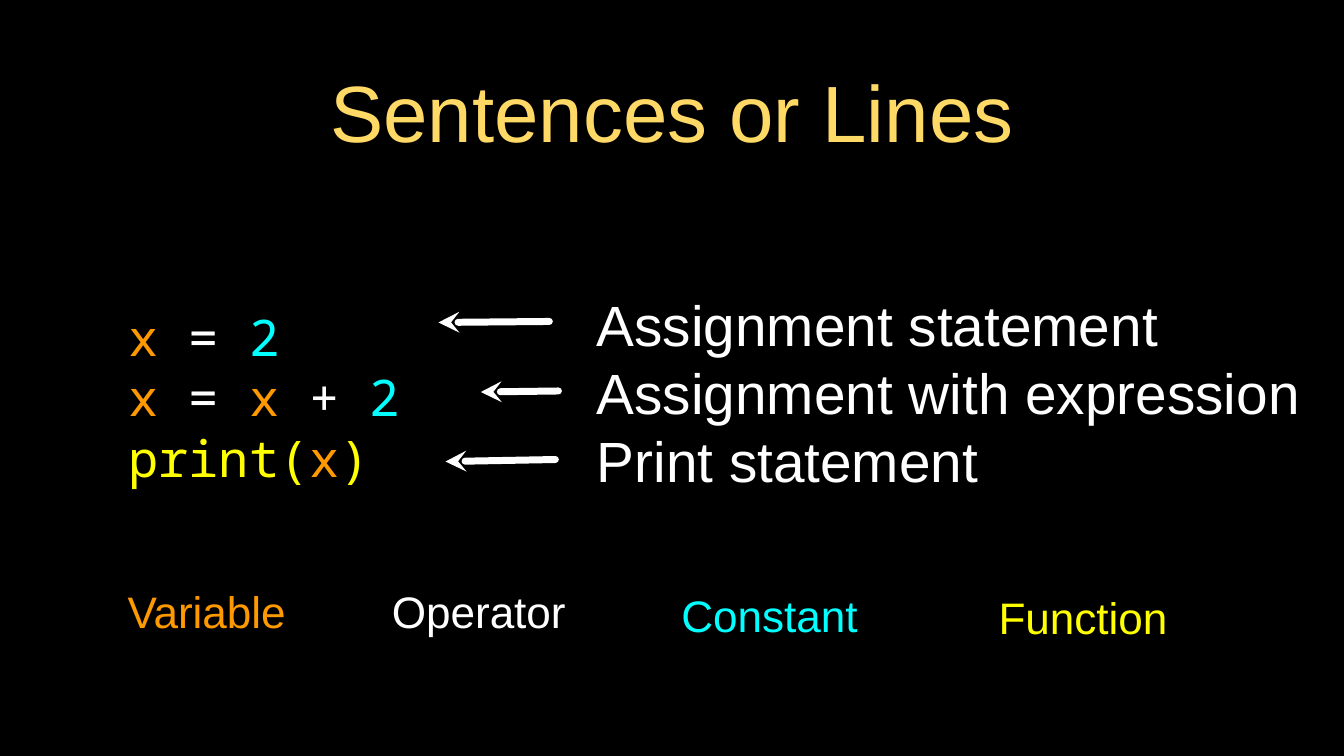
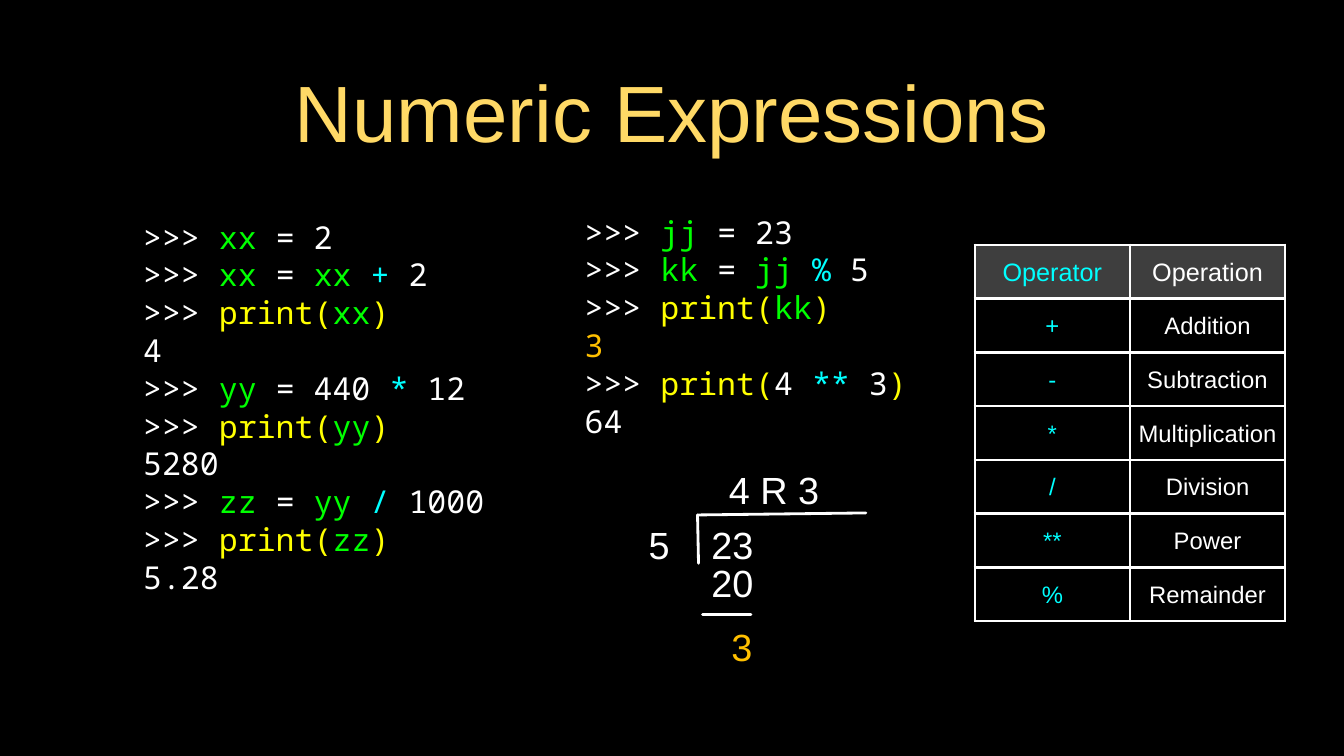
from functools import partial
from typing import NamedTuple

from lxml.etree import SubElement
from pptx import Presentation
from pptx.dml.color import RGBColor
from pptx.enum.shapes import MSO_CONNECTOR
from pptx.enum.text import MSO_ANCHOR, MSO_AUTO_SIZE, PP_ALIGN
from pptx.oxml.ns import qn
from pptx.slide import Slide
from pptx.text.text import TextFrame, _Paragraph
from pptx.util import Inches, Pt

BLACK = RGBColor(0x00, 0x00, 0x00)
WHITE = RGBColor(0xFF, 0xFF, 0xFF)
GOLD = RGBColor(0xFF, 0xD9, 0x66)
AMBER = RGBColor(0xFF, 0xC0, 0x00)
ORANGE = RGBColor(0xFF, 0x99, 0x00)
YELLOW = RGBColor(0xFF, 0xFF, 0x00)
GREEN = RGBColor(0x00, 0xFF, 0x00)
CYAN = RGBColor(0x00, 0xFF, 0xFF)
GRAY = RGBColor(0x7F, 0x7F, 0x7F)

SANS = "Arial"
MONO = "Noto Sans Mono"
LINE_RATIO = 1.2
WIDTH, HEIGHT = Inches(13.33), Inches(7.5)
GRID_COLS = 40
TWO_CONTENT_LAYOUT = 3


class Run(NamedTuple):
    text: str
    color: RGBColor


class Style(NamedTuple):
    size: float
    font: str = SANS
    align: PP_ALIGN = PP_ALIGN.CENTER


class Box(NamedTuple):
    col: float
    row: float
    cols: float
    rows: float


class Label(NamedTuple):
    run: Run
    box: Box


class Stroke(NamedTuple):
    start: tuple[float, float]
    end: tuple[float, float]


Line = tuple[Run, ...]

TITLE = Style(57)
STATEMENT = Style(40.5, align=PP_ALIGN.LEFT)
LEGEND = Style(31.5)
DIVISION = Style(27)
CODE = Style(36, MONO, PP_ALIGN.LEFT)
CONSOLE = Style(22.5, MONO, PP_ALIGN.LEFT)
TABLE_HEAD = Style(18)
TABLE_BODY = Style(17)
TITLE_BOX = Box(2, 1.92, 36, 2.73)

white = partial(Run, color=WHITE)
amber = partial(Run, color=AMBER)
orange = partial(Run, color=ORANGE)
yellow = partial(Run, color=YELLOW)
green = partial(Run, color=GREEN)
cyan = partial(Run, color=CYAN)


def grid(units: float) -> int:
    return round(units * WIDTH / GRID_COLS)


def write_line(p: _Paragraph, line: Line, style: Style) -> None:
    pPr = p._p.get_or_add_pPr()
    pPr.set("marL", "0")
    pPr.set("indent", "0")
    SubElement(pPr, qn("a:buNone"))
    p.alignment = style.align
    p.space_before = p.space_after = Pt(0)
    p.line_spacing = Pt(style.size * LINE_RATIO)
    for run in line:
        r = p.add_run()
        r.text = run.text
        r.font.name = style.font
        r.font.size = Pt(style.size)
        r.font.bold = False
        r.font.color.rgb = run.color


def write_frame(tf: TextFrame, lines: list[Line], style: Style, wrap: bool = True) -> None:
    tf.auto_size = MSO_AUTO_SIZE.NONE
    tf.word_wrap = wrap
    tf.vertical_anchor = MSO_ANCHOR.MIDDLE
    tf.margin_left = tf.margin_right = tf.margin_top = tf.margin_bottom = 0
    for i, line in enumerate(lines):
        write_line(tf.add_paragraph() if i else tf.paragraphs[0], line, style)


def fill_placeholder(s: Slide, idx: int, box: Box, lines: list[Line], style: Style) -> None:
    sp = s.placeholders[idx]
    sp.left, sp.top, sp.width, sp.height = map(grid, box)
    write_frame(sp.text_frame, lines, style)


def add_label(s: Slide, label: Label, style: Style) -> None:
    sp = s.shapes.add_textbox(*map(grid, label.box))
    write_frame(sp.text_frame, [(label.run,)], style, wrap=False)


def add_stroke(s: Slide, stroke: Stroke, width: float, arrow: bool = False) -> None:
    sp = s.shapes.add_connector(
        MSO_CONNECTOR.STRAIGHT, *map(grid, stroke.start + stroke.end)
    )
    sp.line.color.rgb = WHITE
    sp.line.width = Pt(width)
    spPr = sp._element.spPr
    ln = spPr.find(qn("a:ln"))
    ln.set("cap", "rnd")
    if arrow:
        SubElement(ln, qn("a:headEnd"), type="stealth")
    SubElement(spPr, qn("a:effectLst"))


def add_operator_table(s: Slide, box: Box, rows: list[tuple[str, str]]) -> None:
    table = s.shapes.add_table(len(rows), 2, *map(grid, box)).table
    table.first_row = table.horz_banding = False
    for i, row in enumerate(rows):
        for j, (text, color) in enumerate(zip(row, (CYAN, WHITE))):
            cell = table.cell(i, j)
            cell.vertical_anchor = MSO_ANCHOR.MIDDLE
            cell.margin_left = cell.margin_right = grid(0.1)
            cell.margin_top = cell.margin_bottom = grid(0.1)
            style = TABLE_BODY if i else TABLE_HEAD
            write_line(cell.text_frame.paragraphs[0], (Run(text, color),), style)
            tcPr = cell._tc.get_or_add_tcPr()
            for side in ("lnL", "lnR", "lnT", "lnB"):
                ln = SubElement(tcPr, qn(f"a:{side}"), w=str(Pt(2)))
                fill = SubElement(ln, qn("a:solidFill"))
                SubElement(fill, qn("a:srgbClr"), val=str(WHITE))
            if i:
                cell.fill.background()
            else:
                cell.fill.solid()
                cell.fill.fore_color.rgb = GRAY
                clr = tcPr.find(qn("a:solidFill")).find(qn("a:srgbClr"))
                SubElement(clr, qn("a:alpha"), val="49000")


def add_titled_slide(prs: Presentation, title: str) -> Slide:
    s = prs.slides.add_slide(prs.slide_layouts[TWO_CONTENT_LAYOUT])
    fill_placeholder(s, 0, TITLE_BOX, [(Run(title, GOLD),)], TITLE)
    return s


def prompt(*runs: Run) -> Line:
    return (white(">>> "), *runs)


def prompt_print(name: str) -> Line:
    return prompt(yellow("print("), green(name), yellow(")"))


def build_sentences(prs: Presentation) -> None:
    s = add_titled_slide(prs, "Sentences or Lines")
    code = [
        (orange("x "), white("= "), cyan("2")),
        (orange("x "), white("= "), orange("x "), white("+ "), cyan("2")),
        (yellow("print("), orange("x"), yellow(")")),
    ]
    statements = [
        (white("Assignment statement"),),
        (white("Assignment with expression"),),
        (white("Print statement"),),
    ]
    fill_placeholder(s, 1, Box(3.81, 6.84, 9.84, 9.93), code, CODE)
    fill_placeholder(s, 2, Box(17.76, 6.69, 21.66, 9.93), statements, STATEMENT)
    for label in (
        Label(orange("Variable"), Box(3.27, 17.31, 5.76, 1.77)),
        Label(white("Operator"), Box(11.55, 17.31, 5.4, 1.77)),
        Label(cyan("Constant"), Box(19.89, 17.43, 6.03, 1.77)),
        Label(yellow("Function"), Box(28.53, 17.49, 7.41, 1.77)),
    ):
        add_label(s, label, LEGEND)
    for arrow in (
        Stroke((13.05, 9.6), (16.35, 9.57)),
        Stroke((14.31, 11.67), (16.62, 11.64)),
        Stroke((13.26, 13.74), (16.53, 13.68)),
    ):
        add_stroke(s, arrow, 5, arrow=True)


def build_expressions(prs: Presentation) -> None:
    s = add_titled_slide(prs, "Numeric Expressions")
    arithmetic = [
        prompt(green("xx"), white(" = 2")),
        prompt(green("xx"), white(" = "), green("xx "), cyan("+"), white(" 2")),
        prompt_print("xx"),
        (white("4"),),
        prompt(green("yy"), white(" = 440 "), cyan("*"), white(" 12")),
        prompt_print("yy"),
        (white("5280"),),
        prompt(green("zz"), white(" = "), green("yy "), cyan("/"), white(" 1000")),
        prompt_print("zz"),
        (white("5.28"),),
    ]
    remainder = [
        prompt(green("jj"), white(" = 23")),
        prompt(green("kk"), white(" = "), green("jj "), cyan("% "), white("5")),
        prompt_print("kk"),
        (amber("3"),),
        prompt(yellow("print("), white("4 "), cyan("**"), white(" 3"), yellow(")")),
        (white("64"),),
    ]
    fill_placeholder(s, 1, Box(4.26, 5.58, 10.98, 13.05), arithmetic, CONSOLE)
    fill_placeholder(s, 2, Box(17.4, 5.73, 9.9, 7.95), remainder, CONSOLE)
    operators = [
        ("Operator", "Operation"),
        ("+", "Addition"),
        ("-", "Subtraction"),
        ("*", "Multiplication"),
        ("/", "Division"),
        ("**", "Power"),
        ("%", "Remainder"),
    ]
    add_operator_table(s, Box(29.01, 7.29, 9.24, 1.6 * len(operators)), operators)
    for stroke in (
        Stroke((20.76, 15.33), (20.79, 16.77)),
        Stroke((20.76, 15.33), (25.77, 15.27)),
        Stroke((20.91, 18.3), (22.35, 18.3)),
    ):
        add_stroke(s, stroke, 2)
    for label in (
        Label(white("5"), Box(19.2, 15.45, 0.84, 1.53)),
        Label(white("23"), Box(21.09, 15.45, 1.41, 1.53)),
        Label(white("4 R 3"), Box(21.69, 13.8, 2.7, 1.53)),
        Label(white("20"), Box(21.09, 16.56, 1.41, 1.53)),
        Label(amber("3"), Box(21.66, 18.48, 0.84, 1.53)),
    ):
        add_label(s, label, DIVISION)


def main() -> None:
    prs = Presentation()
    prs.slide_width, prs.slide_height = WIDTH, HEIGHT
    background = prs.slide_master.background.fill
    background.solid()
    background.fore_color.rgb = BLACK
    build_sentences(prs)
    build_expressions(prs)
    prs.save("out.pptx")


if __name__ == "__main__":
    main()
